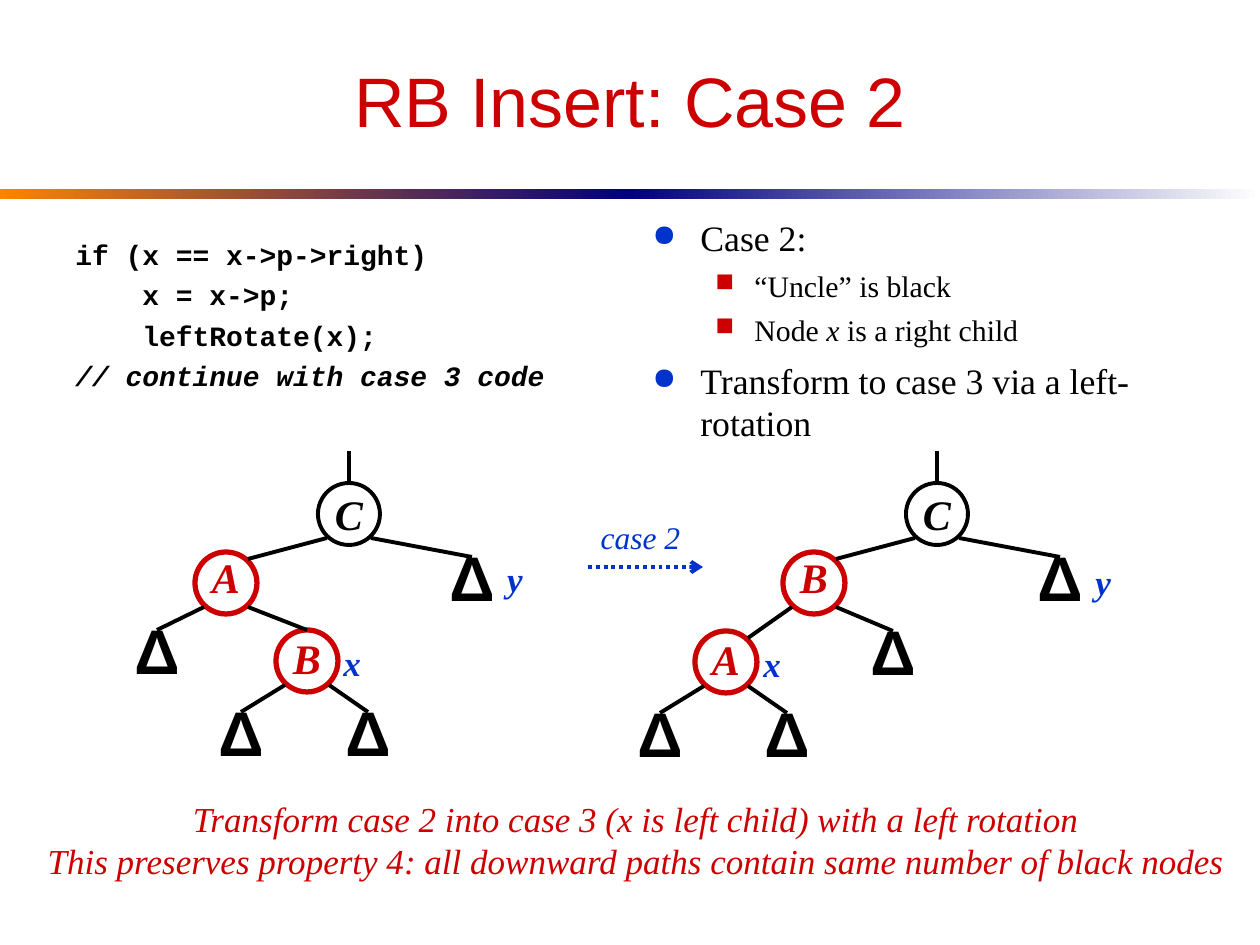
from lxml import etree
from pptx import Presentation
from pptx.dml.color import RGBColor
from pptx.enum.dml import MSO_LINE
from pptx.enum.shapes import MSO_CONNECTOR, MSO_SHAPE
from pptx.enum.text import MSO_ANCHOR, PP_ALIGN
from pptx.oxml.ns import qn
from pptx.util import Pt

EMU_PER_PIXEL = 914400 / 126
OVAL, BAR = MSO_SHAPE.OVAL, MSO_SHAPE.RECTANGLE
STRAIGHT, DOTTED = MSO_CONNECTOR.STRAIGHT, MSO_LINE.ROUND_DOT
MIDDLE, TOP = MSO_ANCHOR.MIDDLE, MSO_ANCHOR.TOP
CENTER, LEFT = PP_ALIGN.CENTER, PP_ALIGN.LEFT
BLACK, WHITE = RGBColor(0, 0, 0), RGBColor(255, 255, 255)
RED, BLUE = RGBColor(0xCC, 0, 0), RGBColor(0, 0x33, 0xCC)
ORANGE, NAVY = RGBColor(0xFF, 0x82, 0), RGBColor(0, 0, 0x82)
SANS, SERIF, MONO = "Arial", "Times New Roman", "Courier New"
NODE_SIZE, RADIUS = 62, 31
CORNER_X, CORNER_Y = 22, 24
TREE_SHIFT = 588
DELTA = "\u0394"


def px(length):
    return round(length * EMU_PER_PIXEL)


def assign(target, values):
    for name, value in values.items():
        setattr(target, name, value)


class TreeSlide:
    """Draws text, bars, lines and binary trees on one slide."""

    def __init__(self, deck):
        self.page = deck.slides.add_slide(deck.slide_layouts[6])
        self.page.background.fill.solid()
        self.page.background.fill.fore_color.rgb = WHITE

    def fill_para(self, para, spans, size, font, color, bold=False, italic=False, **layout):
        assign(para, layout)
        for text, slanted in spans:
            span = para.add_run()
            span.text = text
            assign(span.font, {"name": font, "size": Pt(size), "bold": bold,
                               "italic": italic or slanted})
            span.font.color.rgb = color

    def indent(self, para, left, first, bullet=None, color=None):
        properties = para._p.get_or_add_pPr()
        properties.set("marL", str(px(left)))
        properties.set("indent", str(px(first)))
        if bullet:
            tint = etree.SubElement(properties, qn("a:buClr"))
            etree.SubElement(tint, qn("a:srgbClr"), val=str(color))
            etree.SubElement(properties, qn("a:buSzPct"), val="85000")
            etree.SubElement(properties, qn("a:buChar"), char=bullet)

    def text_box(self, bounds, wrap=False, anchor=MIDDLE):
        box = self.page.shapes.add_textbox(*map(px, bounds))
        assign(box.text_frame, {"word_wrap": wrap, "vertical_anchor": anchor})
        return box.text_frame

    def paragraphs(self, frame, count):
        return [frame.paragraphs[0]] + [frame.add_paragraph() for _ in range(count - 1)]

    def label(self, bounds, lines, size, color, font=SERIF, bold=False, italic=True, wrap=False):
        frame = self.text_box(bounds, wrap)
        for para, line in zip(self.paragraphs(frame, len(lines)), lines):
            self.fill_para(para, [(line, False)], size, font, color, bold, italic,
                           alignment=CENTER)

    def code(self, bounds, lines):
        frame = self.text_box(bounds, True, TOP)
        for para, (line, left, italic) in zip(self.paragraphs(frame, len(lines)), lines):
            self.fill_para(para, [(line, italic)], 16, MONO, BLACK, True,
                           alignment=LEFT, space_before=Pt(4))
            self.indent(para, left, 0)

    def bullets(self, bounds, items):
        styles = [(20.4, 6, 48, -48, "\u25cf", BLUE), (17, 5, 102, -39, "\u25a0", RED)]
        frame = self.text_box(bounds, True, TOP)
        for para, (level, spans) in zip(self.paragraphs(frame, len(items)), items):
            size, before, *bullet = styles[level]
            self.fill_para(para, spans, size, SERIF, BLACK, alignment=LEFT,
                           level=level, space_before=Pt(before))
            self.indent(para, *bullet)

    def bar(self, bounds, start, end):
        shape = self.page.shapes.add_shape(BAR, *map(px, bounds))
        shape.shadow.inherit = False
        shape.line.fill.background()
        shape.fill.gradient()
        shape.fill.gradient_angle = 0
        for stop, color in zip(shape.fill.gradient_stops, (start, end)):
            stop.color.rgb = color

    def line(self, start, end, color=BLACK, arrow=False):
        line = self.page.shapes.add_connector(STRAIGHT, *map(px, (*start, *end)))
        line.line.width = Pt(2.25)
        line.line.color.rgb = color
        if arrow:
            line.line.dash_style = DOTTED
            outline = line._element.spPr.find(qn("a:ln"))
            etree.SubElement(outline, qn("a:tailEnd"), type="arrow")
        etree.SubElement(line._element.spPr, qn("a:effectLst"))

    def node(self, name, x, y, color, spacing):
        bounds = (x - RADIUS, y - RADIUS, NODE_SIZE, NODE_SIZE)
        shape = self.page.shapes.add_shape(OVAL, *map(px, bounds))
        shape.shadow.inherit = False
        leaf = name == DELTA
        if leaf:
            shape.fill.background()
            shape.line.fill.background()
        else:
            shape.fill.solid()
            shape.fill.fore_color.rgb = WHITE
            shape.line.color.rgb = color
            shape.line.width = Pt(3 if color == RED else 2.25)
        assign(shape.text_frame, {"word_wrap": False, "vertical_anchor": MIDDLE})
        size, font = (36, SANS) if leaf else (24, SERIF)
        self.fill_para(shape.text_frame.paragraphs[0], [(name, False)], size, font, color,
                       True, not leaf, alignment=CENTER, line_spacing=spacing)

    def tree(self, name, x, y, children=(), depth=0):
        if name == DELTA:
            self.node(name, x, y, BLACK, 0.6)
        else:
            self.node(name, x, y, RED if depth else BLACK, (1.0, 0.7, 0.9)[depth])
        if depth == 0:
            self.line((x, y - RADIUS), (x, 451))
        for child in children:
            child_name, child_x, child_y = child[:3]
            side = -1 if child_x < x else 1
            end = (child_x, child_y - RADIUS)
            if side < 0 and child_name != DELTA:
                end = (child_x + CORNER_X, child_y - CORNER_Y)
            self.tree(*child, depth=depth + 1)
            self.line((x + side * CORNER_X, y + CORNER_Y), end)


def lower(name, x, y):
    return name, x, y, [(DELTA, x - 66, y + 82), (DELTA, x + 61, y + 82)]


def upper(x, name, children):
    return "C", x, 514, [(name, x - 123, 583, children), (DELTA, x + 123, 588)]


deck = Presentation()
deck.slide_width, deck.slide_height = px(1260), px(945)
slide = TreeSlide(deck)

slide.bar((0, 189, 630, 10), ORANGE, NAVY)
slide.bar((630, 189, 630, 10), NAVY, WHITE)
slide.label((63, 32, 1134, 136), ["RB Insert: Case 2"], 40, RED, SANS, italic=False, wrap=True)
slide.code((63, 231, 557, 231), [
    ("if (x == x->p->right)", 0, False),
    ("x = x->p;", 67, False),
    ("leftRotate(x);", 67, False),
    ("// continue with case 3 code", 0, True),
])
slide.bullets((640, 210, 557, 242), [
    (0, [("Case 2:", False)]),
    (1, [("\u201cUncle\u201d is black", False)]),
    (1, [("Node ", False), ("x", True), (" is a right child", False)]),
    (0, [("Transform to case 3 via a left-rotation", False)]),
])

slide.tree(*upper(349, "A", [(DELTA, 157, 661), lower("B", 307, 661)]))
slide.tree(*upper(349 + TREE_SHIFT, "B", [lower("A", 726, 662), (DELTA, 893, 662)]))
for name, left, top in [("x", 331, 635), ("y", 494, 551), ("x", 751, 636), ("y", 1082, 554)]:
    slide.label((left, top, 42, 55), [name], 20, BLUE, bold=True)

slide.label((588, 512, 105, 50), ["case 2"], 18, BLUE)
slide.line((588, 567), (703, 567), BLUE, arrow=True)
slide.label((33, 791, 1206, 97), [
    "Transform case 2 into case 3 (x is left child) with a left rotation",
    "This preserves property 4: all downward paths contain same number of black nodes",
], 20, RED)

deck.save("out.pptx")
